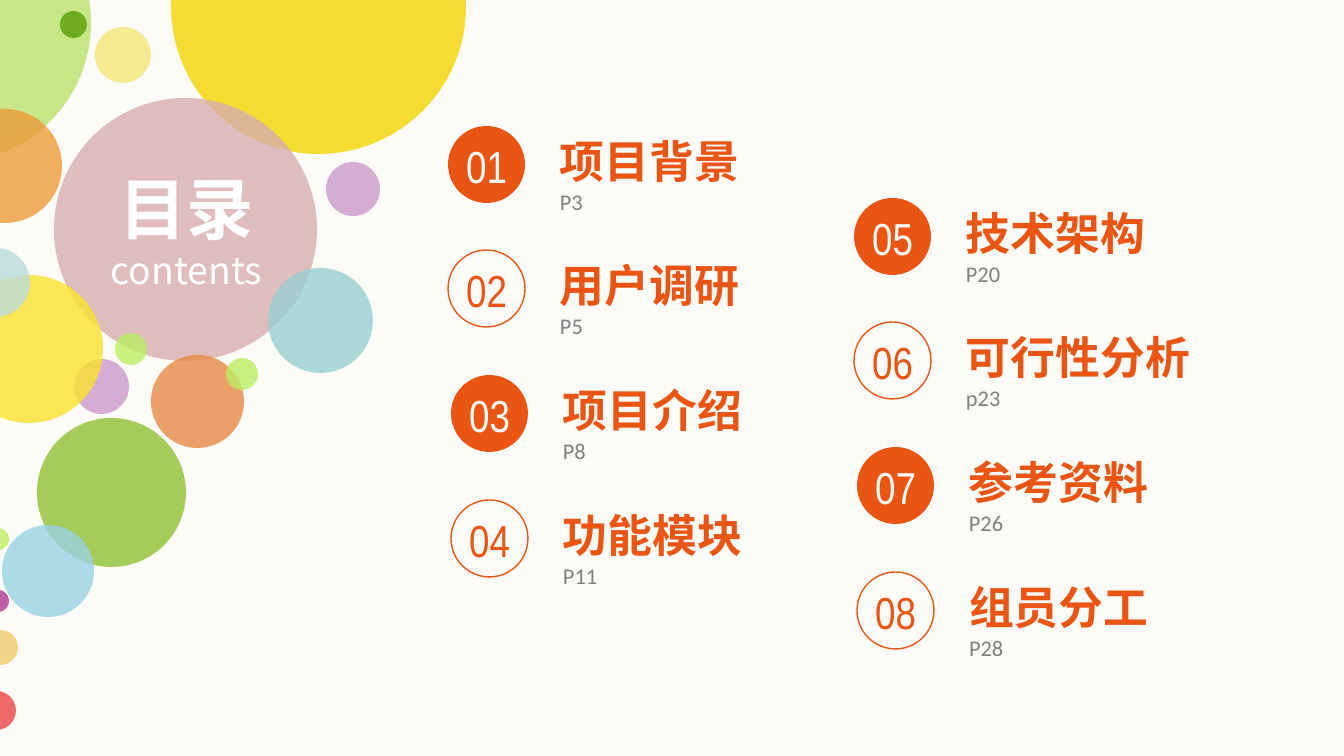
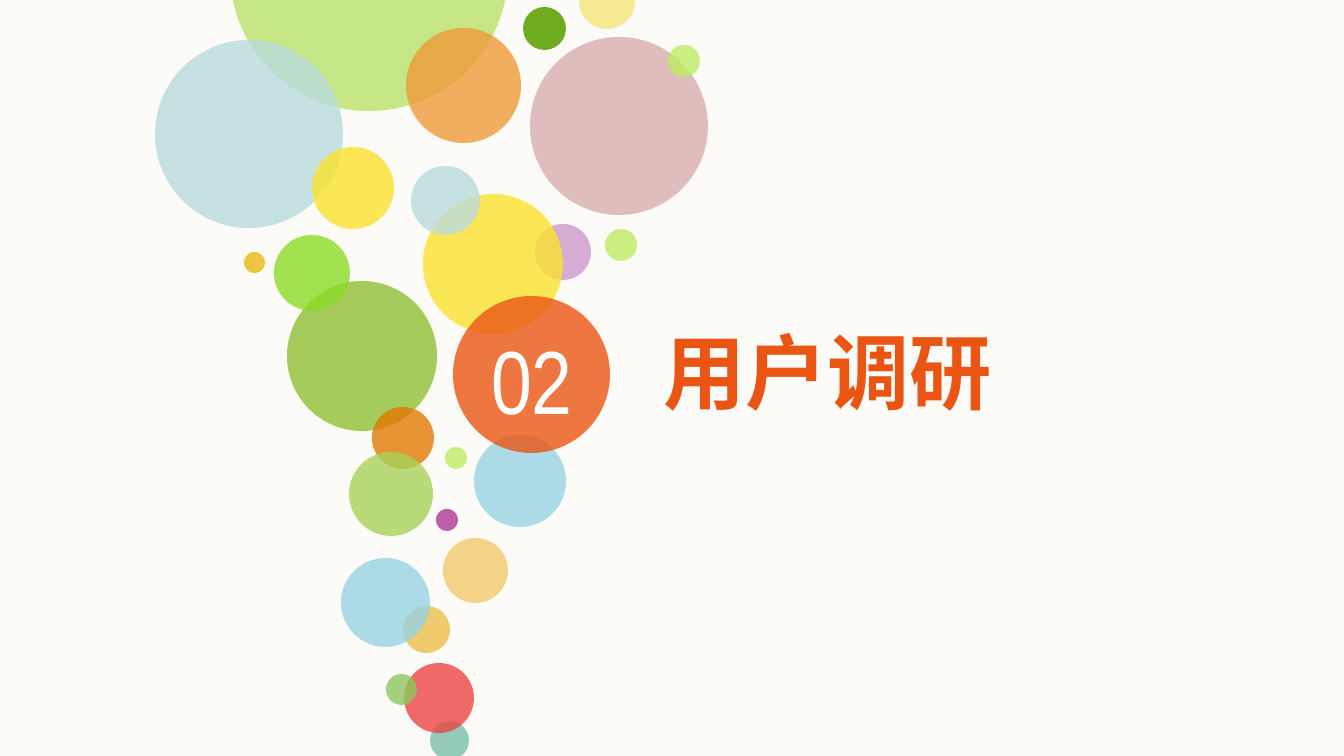
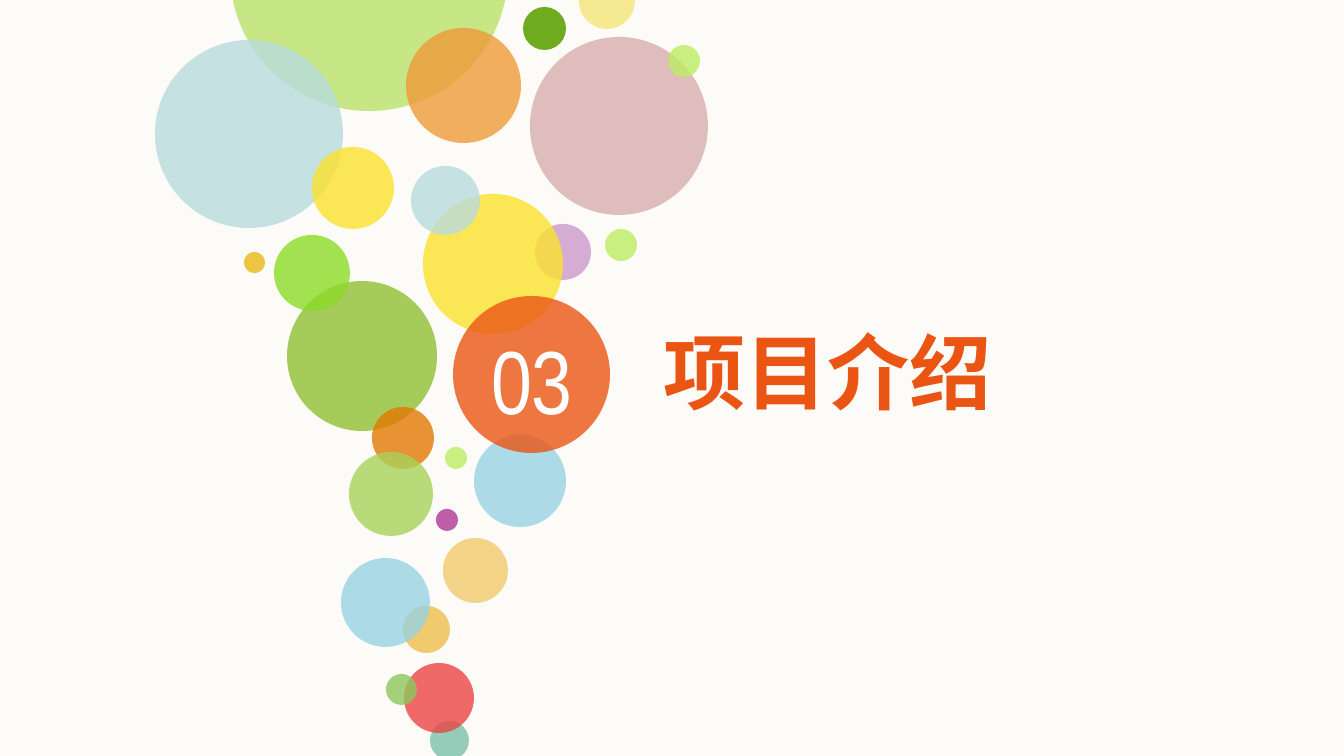
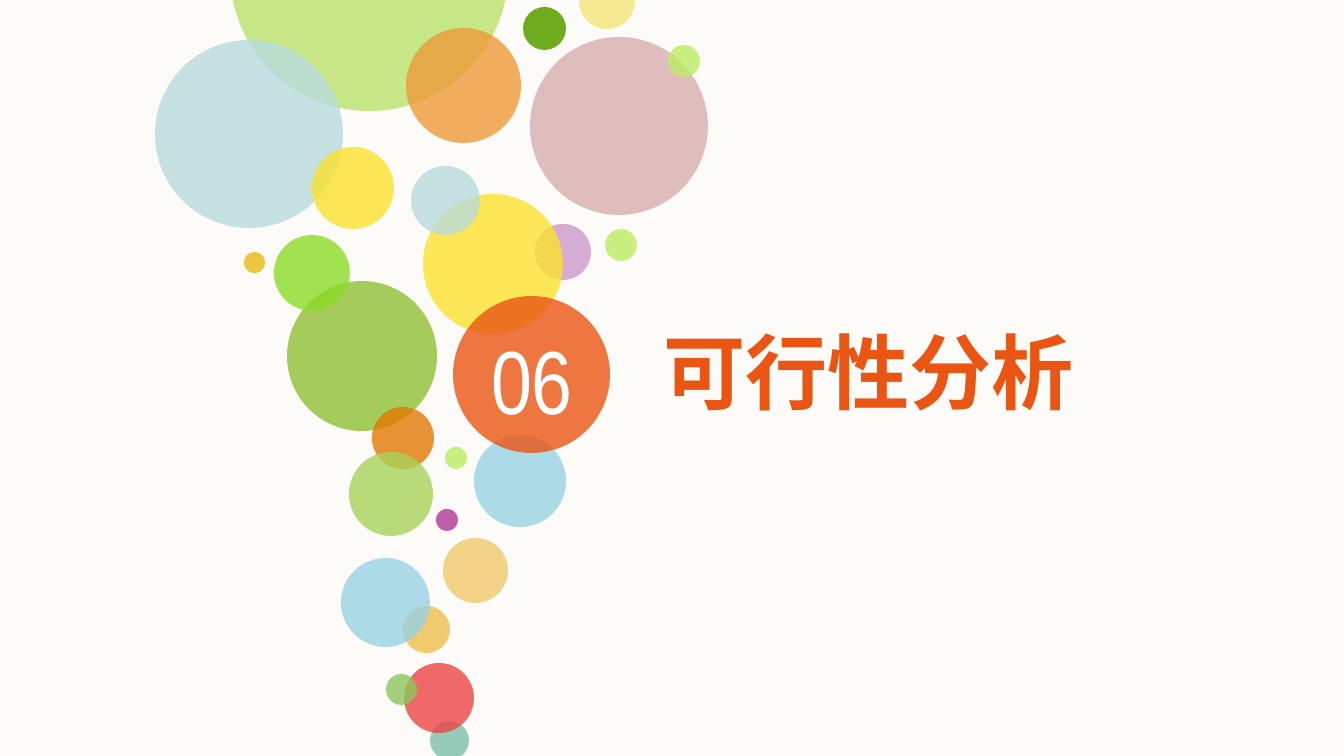
from lxml.etree import SubElement
from pptx import Presentation
from pptx.dml.color import RGBColor
from pptx.enum.shapes import MSO_SHAPE
from pptx.enum.text import MSO_AUTO_SIZE, PP_ALIGN
from pptx.oxml.ns import qn
from pptx.util import Pt

SCALE = 914400 / 134.4  # EMU in one pixel
COLOURS = {
    "paper": "FCFBF7", "white": "FFFFFF", "grey": "808080", "accent": "EA5514",
    "lime": "BAE36B", "forest": "6EAB1F", "orange": "ED9B38", "cream": "F5EA91",
    "gold": "F4D500", "rose": "D8AEAF", "teal": "99CED2", "lilac": "CB99CC",
    "copper": "E78A47", "leaf": "A5CB5A", "sprout": "BDED63", "yellow": "FBE22D",
    "purple": "B03896", "amber": "F0CA6C", "honey": "F0CA6C", "red": "EB4544",
    "mist": "B9DBDD", "sky": "98D2E3", "grass": "8CDB27", "mustard": "E9B915",
    "jade": "7BBFAA", "fern": "8DC65B", "rust": "E27902", "moss": "A9D25A",
}
SOLID = {"forest", "cream", "leaf", "honey"}
CHINESE, NUMERAL, LATIN = "Noto Sans CJK SC", "Arial Narrow", "Calibri"

# Bubbles from back to front: colour, left, top, diameter
CONTENTS_BUBBLES = [
    ("lime", -187, -116, 278), ("forest", 60, 11, 27), ("orange", -52, 109, 114),
    ("cream", 95, 27, 56), ("gold", 171, -141, 295), ("rose", 54, 98, 263),
    ("teal", 268, 268, 105), ("lilac", 326, 162, 54), ("copper", 151, 355, 93),
    ("leaf", 37, 418, 149), ("sprout", 226, 358, 32), ("sprout", 115, 333, 32),
    ("lilac", 74, 359, 55), ("yellow", -45, 275, 148), ("sprout", -13, 528, 22),
    ("purple", -13, 590, 22), ("amber", -17, 630, 35), ("red", -23, 691, 39),
    ("mist", -39, 248, 69), ("sky", 2, 525, 92),
]
SECTION_BUBBLES = [
    ("lime", 230, -167, 278), ("forest", 523, 7, 43), ("mist", 155, 40, 188),
    ("orange", 406, 28, 115), ("cream", 579, -27, 56), ("rose", 530, 37, 178),
    ("leaf", 287, 281, 150), ("sprout", 668, 45, 32), ("sprout", 605, 229, 32),
    ("lilac", 535, 224, 56), ("yellow", 423, 194, 140), ("yellow", 312, 147, 82),
    ("grass", 274, 235, 76), ("mustard", 244, 252, 21), ("sprout", 445, 447, 22),
    ("purple", 436, 509, 22), ("amber", 443, 538, 65), ("honey", 403, 606, 47),
    ("jade", 430, 721, 39), ("red", 404, 663, 70), ("fern", 386, 674, 31),
    ("sky", 341, 558, 89), ("mist", 411, 166, 69), ("sky", 474, 435, 92),
    ("rust", 372, 407, 62), ("moss", 349, 452, 84), ("accent", 453, 296, 157),
]
CHAPTERS = [
    ("项目背景", "P3"), ("用户调研", "P5"), ("项目介绍", "P8"), ("功能模块", "P11"),
    ("技术架构", "P20"), ("可行性分析", "p23"), ("参考资料", "P26"), ("组员分工", "P28"),
]


def add_bubble(page, colour, left, top, size, solid):
    lengths = [round(n * SCALE) for n in (left, top, size, size)]
    bubble = page.shapes.add_shape(MSO_SHAPE.OVAL, *lengths)
    bubble.shadow.inherit = False
    bubble.line.fill.background()
    bubble.fill.solid()
    bubble.fill.fore_color.rgb = RGBColor.from_string(COLOURS[colour])
    if not solid:
        tint = next(bubble._element.spPr.iter(qn("a:srgbClr")))
        SubElement(tint, qn("a:alpha"), val="80000")
    return bubble


def add_text(page, bounds, lines, align=PP_ALIGN.LEFT):
    """Each line is (text, size, font, colour, bold)."""
    box = page.shapes.add_textbox(*[round(n * SCALE) for n in bounds])
    frame = box.text_frame
    frame.word_wrap = True
    frame.auto_size = MSO_AUTO_SIZE.SHAPE_TO_FIT_TEXT
    frame.margin_left = frame.margin_right = frame.margin_top = frame.margin_bottom = 0
    for index, (text, size, typeface, colour, bold) in enumerate(lines):
        para = frame.add_paragraph() if index else frame.paragraphs[0]
        para.text = text
        para.alignment = align
        font = para.font
        font.size, font.bold, font.name = Pt(size), bold, typeface
        font.color.rgb = RGBColor.from_string(COLOURS[colour])
        # Chinese characters take their font from the East Asian slot
        defaults = para._p.pPr.find(qn("a:defRPr"))
        SubElement(defaults, qn("a:ea"), typeface=typeface)


deck = Presentation()
deck.slide_width, deck.slide_height = round(1344 * SCALE), round(756 * SCALE)

# Pages with their background and bubbles
pages = []
for bubbles in [CONTENTS_BUBBLES] + [SECTION_BUBBLES] * 3:
    page = deck.slides.add_slide(deck.slide_layouts[6])
    page.background.fill.solid()
    page.background.fill.fore_color.rgb = RGBColor.from_string(COLOURS["paper"])
    for colour, left, top, size in bubbles:
        add_bubble(page, colour, left, top, size, colour in SOLID)
    pages.append(page)
contents, *sections = pages

# Contents: heading
add_text(contents, (85, 167, 203, 126), [
    ("目录", 36, CHINESE, "white", True),
    ("contents", 20, CHINESE, "white", False),
], PP_ALIGN.CENTER)

# Contents: two columns of four chapters, filled and outlined badges in turn
for index, (title, page_number) in enumerate(CHAPTERS):
    column, row = divmod(index, 4)
    left = (448, 854)[column] + (3 if row >= 2 else 0)
    top = (126, 198)[column] + row * 374 // 3
    outlined = row % 2 == 1
    badge = add_bubble(contents, "accent", left, top, 77, True)
    if outlined:
        badge.fill.background()
        badge.line.color.rgb = RGBColor.from_string(COLOURS["accent"])
        badge.line.width = Pt(0.75)
    add_text(contents, (left, top + 13, 77, 54), [
        (f"{index + 1:02}", 24, NUMERAL, "accent" if outlined else "paper", False),
    ], PP_ALIGN.CENTER)
    add_text(contents, (left + 112, top + 8, 286 if outlined else 218, 82), [
        (title, 24, CHINESE, "accent", True),
        (page_number, 12, LATIN, "grey", False),
    ])

# Section pages: number in the accent bubble, title beside it
for page, number in zip(sections, (2, 3, 6)):
    title = CHAPTERS[number - 1][0]
    add_text(page, (478, 325, 108, 109),
             [(f"{number:02}", 48, NUMERAL, "white", False)], PP_ALIGN.CENTER)
    add_text(page, (663, 321, 433 if len(title) > 4 else 359, 99),
             [(title, 44, CHINESE, "accent", True)])

deck.save("out.pptx")
